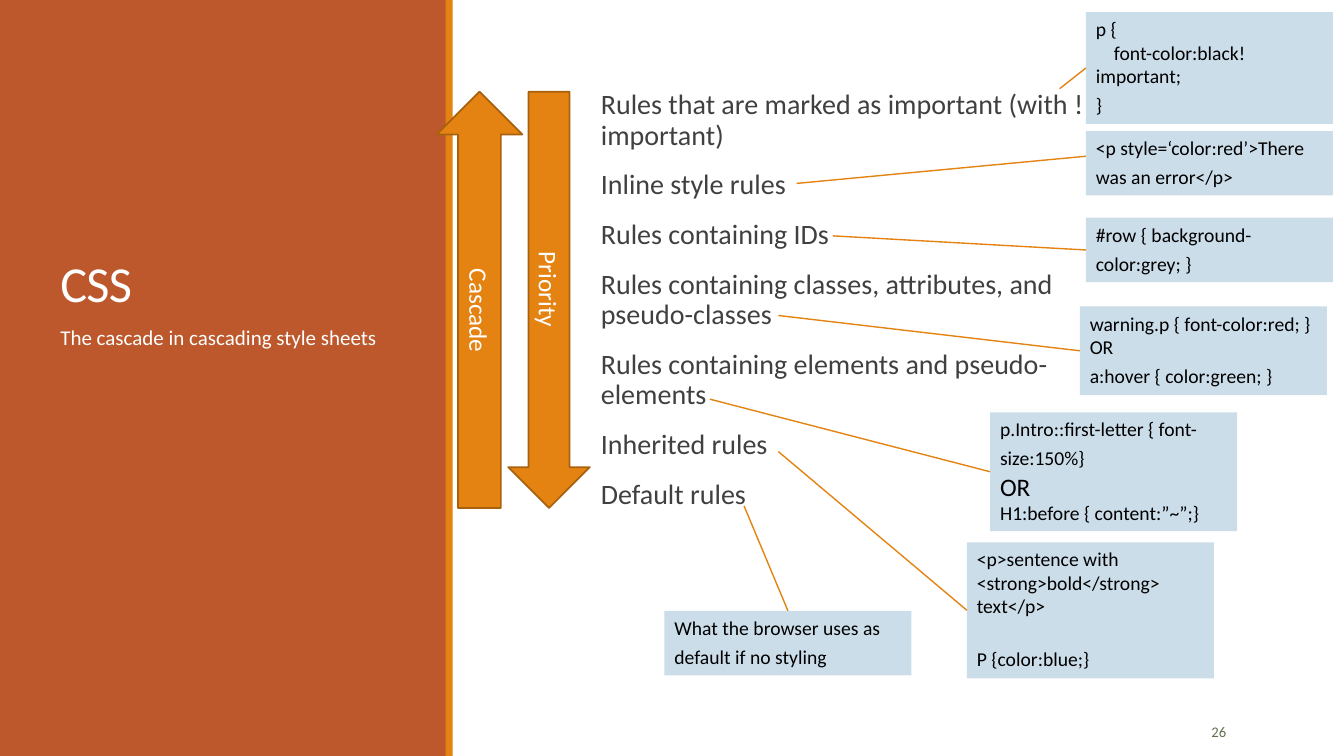
from pptx import Presentation
from pptx import util as u
from pptx.dml import color as c
from pptx.enum import shapes, text
from pptx.oxml import xmlchemy
from lxml import etree

WHITE = c.RGBColor(0xFF, 0xFF, 0xFF)
BLACK = c.RGBColor(0, 0, 0)
RUST = c.RGBColor(0xBD, 0x58, 0x2C)
ORANGE = c.RGBColor(0xE4, 0x83, 0x12)
BROWN = c.RGBColor(0xA9, 0x61, 0x0D)
PALE_BLUE = c.RGBColor(0xCC, 0xDD, 0xEA)
DARK_GREY = c.RGBColor(0x40, 0x40, 0x40)
OLIVE = c.RGBColor(0x63, 0x70, 0x52)

DRAWING = "http://schemas.openxmlformats.org/drawingml/2006/main"
TOP, LEFT = 0, 1

RULES = [
    "Rules that are marked as important (with !important)",
    "Inline style rules",
    "Rules containing IDs",
    "Rules containing classes, attributes, and pseudo-classes",
    "Rules containing elements and pseudo-elements",
    "Inherited rules",
    "Default rules",
]

EXAMPLES = [
    (10.77, 0.12, 1.11, (10.77, 0.68), (10.51, 0.88), LEFT, [
        dict(content="p {"),
        dict(content="font-color:black!important;", first_indent=0.18),
        dict(content="}", tab_size=18)]),
    (10.77, 1.3, 0.64, (10.77, 1.55), (7.9, 1.82), None, [
        dict(content="<p style=‘color:red’>There was an error</p>", tab_size=18)]),
    (10.77, 2.16, 0.64, (10.77, 2.48), (8.26, 2.34), LEFT, [
        dict(content="#row { background-color:grey; }", tab_size=18)]),
    (10.71, 3.04, 0.88, (10.71, 3.48), (7.72, 3.13), LEFT, [
        dict(content="warning.p { font-color:red; }"),
        dict(content="OR"),
        dict(content="a:hover { color:green; }", tab_size=18)]),
    (9.82, 4.09, 1.18, (9.82, 4.68), (7.04, 3.96), LEFT, [
        dict(content="p.Intro::first-letter { font-size:150%}", tab_size=18),
        dict(content="OR", size=18),
        dict(content="H1:before { content:”~”;}")]),
    (9.59, 5.38, 1.35, (9.59, 6.05), (7.72, 4.48), LEFT, [
        dict(content="<p>sentence with <strong>bold</strong> text</p>"),
        dict(content="P {color:blue;}", before=17, tab_size=18)]),
    (6.59, 6.06, 0.64, (7.81, 6.06), (7.38, 5.02), TOP, [
        dict(content="What the browser uses as default if no styling", tab_size=18)]),
]


def add_span(para, content, size, color, tracking=None):
    span = para.add_run()
    span.text = content
    span.font.name = "Calibri"
    span.font.size = u.Pt(size)
    span.font.color.rgb = color
    if tracking is not None:
        span.font._element.set("spc", str(int(tracking * 100)))


def add_para(frame, content, size=14, color=BLACK, align=text.PP_ALIGN.LEFT,
             spacing=1.0, before=0, after=0, margin=0, first_indent=0,
             tab_size=None, tracking=None):
    first = frame.paragraphs[0]
    para = frame.add_paragraph() if first.runs else first
    para.alignment = align
    para.line_spacing = spacing
    para.space_before = u.Pt(before)
    para.space_after = u.Pt(after)
    properties = para._p.get_or_add_pPr()
    properties.set("marL", str(u.Inches(margin)))
    properties.set("indent", str(u.Inches(first_indent)))
    add_span(para, content, size, color, tracking)
    if tab_size:
        add_span(para, "\t", tab_size, color)


def add_text_box(page, left, top, width, height, anchor=text.MSO_ANCHOR.TOP):
    box = page.shapes.add_textbox(*map(u.Inches, (left, top, width, height)))
    frame = box.text_frame
    frame.word_wrap = True
    frame.vertical_anchor = anchor
    return frame


def add_block(page, left, top, width, height, fill,
              kind=shapes.MSO_SHAPE.RECTANGLE, outline=None):
    block = page.shapes.add_shape(kind, *map(u.Inches, (left, top, width, height)))
    block.shadow.inherit = False
    block.fill.solid()
    block.fill.fore_color.rgb = fill
    if outline is None:
        block.line.fill.background()
    else:
        block.line.color.rgb = outline
        block.line.width = u.Pt(1.25)
    return block


def add_arrow(page, left, top, width, height, kind, label):
    arrow = add_block(page, left, top, width, height, ORANGE, kind, BROWN)
    arrow.rotation = 90
    arrow.text_frame.vertical_anchor = text.MSO_ANCHOR.MIDDLE
    add_para(arrow.text_frame, label, size=18, color=WHITE,
             align=text.PP_ALIGN.CENTER)


def add_example(page, left, top, height, start, end, side, lines):
    box = add_block(page, left, top, 2.45, height, PALE_BLUE)
    box.text_frame.word_wrap = True
    box.text_frame.vertical_anchor = text.MSO_ANCHOR.TOP
    for line in lines:
        add_para(box.text_frame, **line)
    pointer = page.shapes.add_connector(shapes.MSO_CONNECTOR.STRAIGHT,
                                        *map(u.Inches, start + end))
    pointer.line.color.rgb = ORANGE
    pointer.line.width = u.Pt(1)
    etree.SubElement(pointer._element.spPr, f"{{{DRAWING}}}effectLst")
    if side is not None:
        pointer.begin_connect(box, side)


def main():
    deck = Presentation()
    deck.slide_width, deck.slide_height = u.Inches(13.33), u.Inches(7.5)
    page = deck.slides.add_slide(deck.slide_layouts[6])

    add_block(page, 0, 0, 4.43, 7.5, RUST)
    add_block(page, 4.42, 0, 0.07, 7.5, ORANGE)

    title = add_text_box(page, 0.5, 0.65, 3.5, 2.5, text.MSO_ANCHOR.BOTTOM)
    add_para(title, "CSS", size=36, color=WHITE, spacing=0.85, tracking=-0.5)
    subtitle = add_text_box(page, 0.5, 3.2, 3.5, 3.7)
    add_para(subtitle, "The cascade in cascading style sheets", size=15,
             color=WHITE, spacing=0.9, before=12, after=2)

    rules = add_text_box(page, 5.86, 0.85, 5.4, 5.75)
    rules.margin_left = rules.margin_right = 0
    for rule in RULES:
        add_para(rules, rule, size=20, color=DARK_GREY, spacing=0.9,
                 before=12, after=2, margin=0.1)

    number = add_text_box(page, 10.83, 7.06, 1.43, 0.4, text.MSO_ANCHOR.MIDDLE)
    add_para(number, "26", size=10.5, color=OLIVE, align=text.PP_ALIGN.RIGHT)

    add_arrow(page, 3.38, 2.57, 4.13, 0.81, shapes.MSO_SHAPE.RIGHT_ARROW, "Priority")
    add_arrow(page, 2.69, 2.55, 4.13, 0.85, shapes.MSO_SHAPE.LEFT_ARROW, "Cascade")

    for example in EXAMPLES:
        add_example(page, *example)

    deck.save("out.pptx")


if __name__ == "__main__":
    main()
